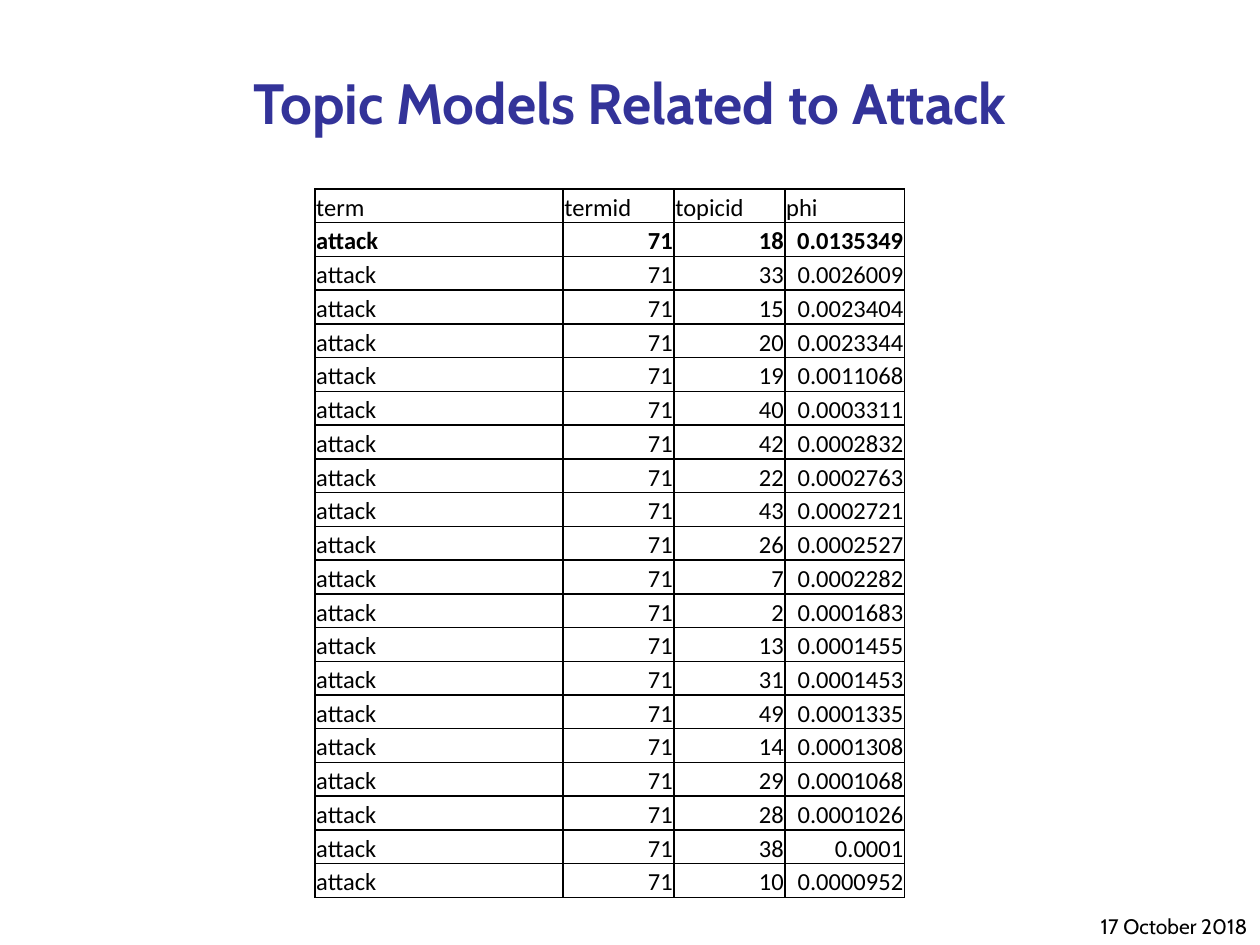
from dataclasses import dataclass
from lxml.etree import SubElement
from pptx import Presentation
from pptx.dml.color import RGBColor
from pptx.enum.text import MSO_ANCHOR, PP_ALIGN
from pptx.oxml.ns import qn
from pptx.slide import Slide
from pptx.util import Inches, Pt

INDIGO = RGBColor(0x33, 0x33, 0x99)
BLACK = RGBColor(0, 0, 0)
WIDTH, HEIGHT = Inches(10), Inches(7.5)
HEADER = ("term", "termid", "topicid", "phi")
TERM, TERM_ID = "attack", "71"
TOPICS = (
    ("18", "0.0135349"),
    ("33", "0.0026009"),
    ("15", "0.0023404"),
    ("20", "0.0023344"),
    ("19", "0.0011068"),
    ("40", "0.0003311"),
    ("42", "0.0002832"),
    ("22", "0.0002763"),
    ("43", "0.0002721"),
    ("26", "0.0002527"),
    ("7", "0.0002282"),
    ("2", "0.0001683"),
    ("13", "0.0001455"),
    ("31", "0.0001453"),
    ("49", "0.0001335"),
    ("14", "0.0001308"),
    ("29", "0.0001068"),
    ("28", "0.0001026"),
    ("38", "0.0001"),
    ("10", "0.0000952"),
)


@dataclass
class TopicSlide:
    page: Slide
    heading_font: str = "Cabin"
    table_font: str = "Calibri"
    table_size: float = 14
    border: float = 1

    def place(self, left, top, width, height):
        return (round(left * WIDTH), round(top * HEIGHT),
                round(width * WIDTH), round(height * HEIGHT))

    def style(self, para, name, size, color, align, bold=False):
        para.alignment = align
        for span in para.runs:
            span.font.name = name
            span.font.size = Pt(size)
            span.font.bold = bold
            span.font.color.rgb = color

    def text(self, content, area, size, color, align, bold=False):
        frame = self.page.shapes.add_textbox(*self.place(*area)).text_frame
        frame.word_wrap = True
        frame.vertical_anchor = MSO_ANCHOR.BOTTOM
        frame.text = content
        self.style(frame.paragraphs[0], self.heading_font, size, color, align, bold)

    def outline(self, cell):
        properties = cell._tc.get_or_add_tcPr()
        for side in ("a:lnL", "a:lnR", "a:lnT", "a:lnB"):
            line = SubElement(properties, qn(side), w=str(Pt(self.border)))
            fill = SubElement(line, qn("a:solidFill"))
            SubElement(fill, qn("a:srgbClr"), val=str(BLACK))

    def cell(self, cell, content, align, bold):
        cell.margin_left = cell.margin_right = cell.margin_top = Inches(0.01)
        cell.margin_bottom = 0
        cell.vertical_anchor = MSO_ANCHOR.BOTTOM
        cell.text = content
        self.style(cell.text_frame.paragraphs[0], self.table_font,
                   self.table_size, BLACK, align, bold)
        self.outline(cell)
        cell.fill.background()

    def table(self, records, area, column_shares, bold_row):
        place = self.place(*area)
        table = self.page.shapes.add_table(
            len(records), len(column_shares), *place).table
        table.first_row = table.horz_banding = False
        for column, share in zip(table.columns, column_shares):
            column.width = round(share * WIDTH)
        for index, record in enumerate(records):
            table.rows[index].height = place[3] // len(records)
            for position, content in enumerate(record):
                numeric = index > 0 and position > 0
                align = PP_ALIGN.RIGHT if numeric else PP_ALIGN.LEFT
                self.cell(table.cell(index, position), content, align, index == bold_row)


def main():
    deck = Presentation()
    deck.slide_width, deck.slide_height = WIDTH, HEIGHT
    slide = TopicSlide(deck.slides.add_slide(deck.slide_layouts[6]))
    slide.text("Topic Models Related to Attack", (0, 0.06, 1, 0.09),
               32.4, INDIGO, PP_ALIGN.CENTER, bold=True)
    slide.text("17 October 2018", (0.79, 0.94, 0.21, 0.06),
               12, BLACK, PP_ALIGN.RIGHT)
    records = [HEADER] + [(TERM, TERM_ID, *topic) for topic in TOPICS]
    slide.table(records, (0.25, 0.2, 0.47, 0.75),
                (0.197, 0.088, 0.088, 0.095), bold_row=1)
    deck.save("out.pptx")


if __name__ == "__main__":
    main()
